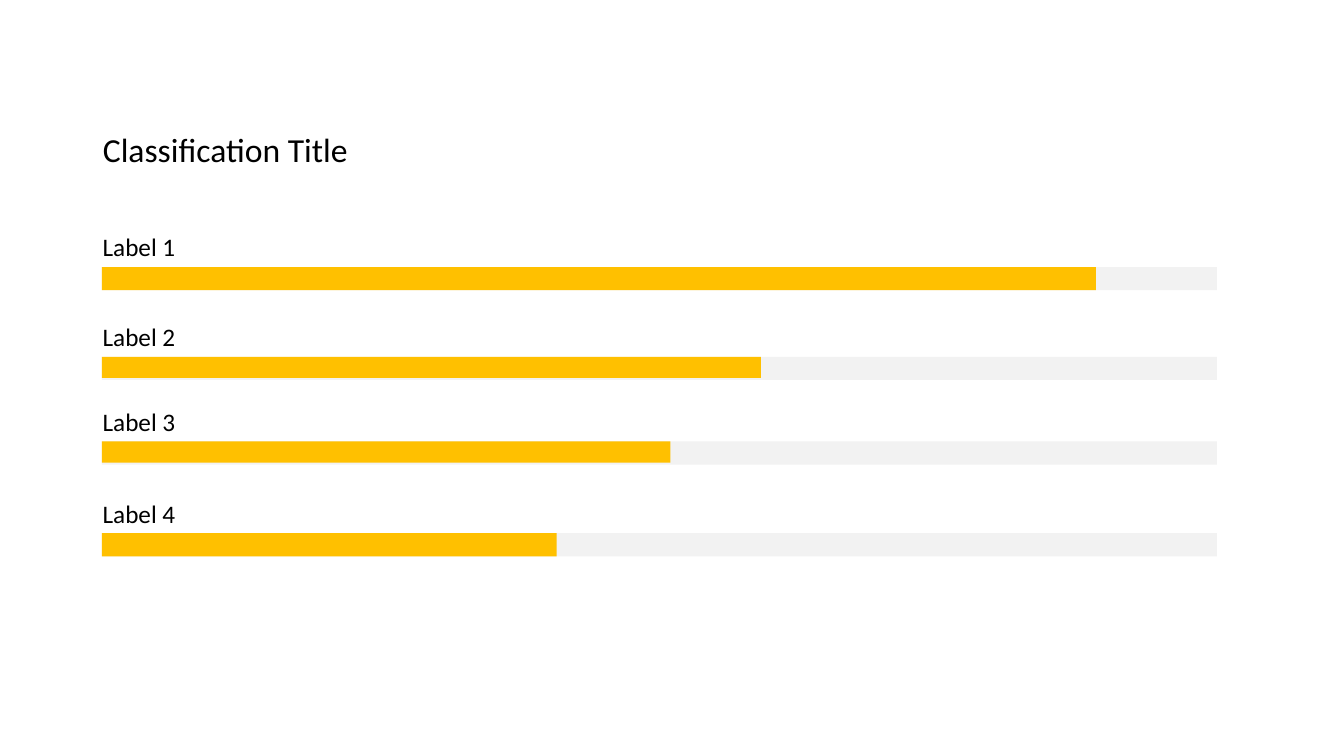
from dataclasses import dataclass

from pptx import Presentation
from pptx.dml.color import RGBColor
from pptx.enum.shapes import MSO_SHAPE as Preset
from pptx.enum.text import MSO_ANCHOR as Anchor, MSO_AUTO_SIZE as AutoSize, PP_ALIGN as Align
from pptx.util import Inches, Pt


@dataclass(frozen=True)
class Theme:
    font: str = "Calibri"
    text: RGBColor = RGBColor(0x00, 0x00, 0x00)
    track: RGBColor = RGBColor(0xF2, 0xF2, 0xF2)
    score: RGBColor = RGBColor(0xFF, 0xC0, 0x00)
    title_size: int = 24
    label_size: int = 18


@dataclass(frozen=True)
class Box:
    left: float
    top: float
    width: float
    height: float

    def lengths(self) -> tuple:
        return tuple(map(Inches, (self.left, self.top, self.width, self.height)))


@dataclass(frozen=True)
class Category:
    label: str
    bar_top: float
    percent: float
    score_height: float


THEME = Theme()
SLIDE_WIDTH, SLIDE_HEIGHT = 13.33, 7.5
TEXT_LEFT = 0.92
TRACK_LEFT, TRACK_WIDTH, TRACK_HEIGHT = 1.01, 11.06, 0.23
LABEL_WIDTH, LABEL_HEIGHT = 0.93, 0.4

CATEGORIES = (
    Category("Label 1", 2.65, 89.15, 0.23),
    Category("Label 2", 3.54, 59.1, 0.21),
    Category("Label 3", 4.38, 51, 0.21),
    Category("Label 4", 5.29, 40.8, 0.23),
)


def write(holder, text: str, size: int) -> None:
    frame = holder.text_frame
    frame.text = text
    frame.word_wrap = False
    frame.auto_size = AutoSize.SHAPE_TO_FIT_TEXT
    frame.vertical_anchor = Anchor.TOP
    line = frame.paragraphs[0]
    line.alignment = Align.LEFT
    line.font.name = THEME.font
    line.font.size = Pt(size)
    line.font.color.rgb = THEME.text


def draw_title(slide, text: str, box: Box) -> None:
    title = slide.shapes.title
    title.left, title.top, title.width, title.height = box.lengths()
    write(title, text, THEME.title_size)


def draw_bar(slide, box: Box, color: RGBColor) -> None:
    bar = slide.shapes.add_shape(Preset.RECTANGLE, *box.lengths())
    bar.shadow.inherit = False
    bar.fill.solid()
    bar.fill.fore_color.rgb = color
    bar.line.fill.background()


def draw_category(slide, category: Category) -> None:
    top = category.bar_top
    score_width = TRACK_WIDTH * category.percent / 100
    draw_bar(slide, Box(TRACK_LEFT, top, TRACK_WIDTH, TRACK_HEIGHT), THEME.track)
    draw_bar(slide, Box(TRACK_LEFT, top, score_width, category.score_height), THEME.score)
    label_box = Box(TEXT_LEFT, top - LABEL_HEIGHT, LABEL_WIDTH, LABEL_HEIGHT)
    label = slide.shapes.add_textbox(*label_box.lengths())
    write(label, category.label, THEME.label_size)


deck = Presentation()
deck.slide_width, deck.slide_height = Inches(SLIDE_WIDTH), Inches(SLIDE_HEIGHT)
title_only = deck.slide_layouts.get_by_name("Title Only")
classification = deck.slides.add_slide(title_only)

draw_title(classification, "Classification Title", Box(TEXT_LEFT, 1.23, 2.66, 0.5))
for category in CATEGORIES:
    draw_category(classification, category)

deck.save("out.pptx")
